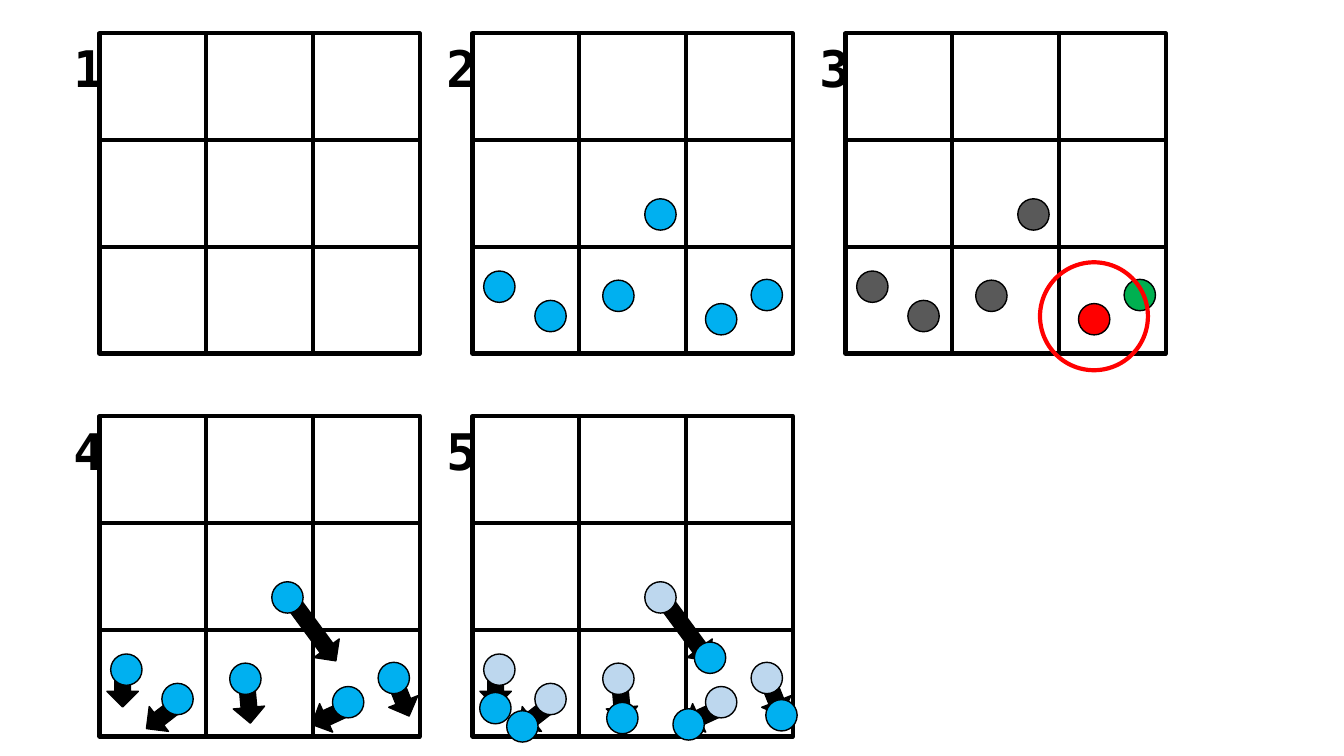
from pptx import Presentation
from pptx.dml.color import RGBColor
from pptx.enum.shapes import MSO_SHAPE
from pptx.util import Cm, Pt

RECTANGLE = MSO_SHAPE.RECTANGLE
OVAL = MSO_SHAPE.OVAL
ARROW = MSO_SHAPE.RIGHT_ARROW

BLACK = RGBColor(0x00, 0x00, 0x00)
WHITE = RGBColor(0xFF, 0xFF, 0xFF)
BLUE = RGBColor(0x00, 0xB0, 0xF0)
PALE_BLUE = RGBColor(0xBD, 0xD7, 0xEE)
GRAY = RGBColor(0x59, 0x59, 0x59)
RED = RGBColor(0xFF, 0x00, 0x00)
GREEN = RGBColor(0x00, 0xB0, 0x50)

CELL = 2.69
BALL = 0.79
PANEL_STEP_X = 9.4
PANEL_STEP_Y = 9.65

deck = Presentation()
deck.slide_width = Cm(33.87)
deck.slide_height = Cm(19.05)
page = deck.slides.add_slide(deck.slide_layouts[6])


def add_figure(kind, left, top, width, height, fill=None, line=BLACK, weight=1, rotation=0):
    figure = page.shapes.add_shape(kind, Cm(left), Cm(top), Cm(width), Cm(height))
    figure.shadow.inherit = False
    figure.rotation = rotation
    if fill is None:
        figure.fill.background()
    else:
        figure.fill.solid()
        figure.fill.fore_color.rgb = fill
    figure.line.color.rgb = line
    figure.line.width = Pt(weight)


def add_label(text, left, top, size=36, font="DejaVu Sans Mono", color=BLACK, bold=True):
    box = page.shapes.add_textbox(Cm(left), Cm(top), Cm(1.4), Cm(1.8))
    box.text_frame.word_wrap = True
    span = box.text_frame.paragraphs[0].add_run()
    span.text = text
    span.font.size = Pt(size)
    span.font.name = font
    span.font.color.rgb = color
    span.font.bold = bold


balls = [(1.57, 6.73), (0.28, 5.99), (3.28, 6.22), (4.34, 4.17), (5.87, 6.81), (7.02, 6.2)]
moved_balls = [(0.18, 6.96), (0.86, 7.42), (3.38, 7.21), (5.59, 5.69), (5.05, 7.37), (7.39, 7.14)]
arrows = [
    (4.34, 4.95, 2.03, 53.7),
    (7.21, 6.76, 0.86, 68.2),
    (5.31, 7.19, 0.86, 155.3),
    (3.33, 6.91, 0.86, 84.8),
    (1.09, 7.21, 0.86, 142.2),
    (0.15, 6.5, 0.86, 90),
]

panels = [
    ("1", [], False, False, False),
    ("2", [BLUE] * 6, False, False, False),
    ("3", [GRAY] * 4 + [RED, GREEN], True, False, False),
    ("4", [BLUE] * 6, False, True, False),
    ("5", [PALE_BLUE] * 6, False, True, True),
]

for index, (number, colors, has_ring, has_arrows, has_moved) in enumerate(panels):
    row, column = divmod(index, 3)
    left = 2.51 + column * PANEL_STEP_X
    top = 0.84 + row * PANEL_STEP_Y

    for cell in range(9):
        cell_row, cell_column = divmod(cell, 3)
        add_figure(RECTANGLE, left + cell_column * CELL, top + cell_row * CELL,
                   CELL, CELL, fill=WHITE, weight=3)
    if has_arrows:
        for x, y, length, angle in arrows:
            add_figure(ARROW, left + x, top + y, length, BALL, fill=BLACK, rotation=angle)
    for (x, y), color in zip(balls, colors):
        add_figure(OVAL, left + x, top + y, BALL, BALL, fill=color)
    if has_moved:
        for x, y in moved_balls:
            add_figure(OVAL, left + x, top + y, BALL, BALL, fill=BLUE)
    if has_ring:
        add_figure(OVAL, left + 4.9, top + 5.77, 2.72, 2.72, line=RED, weight=3)
    add_label(number, left - 0.91, top - 0.02)

deck.save("out.pptx")
